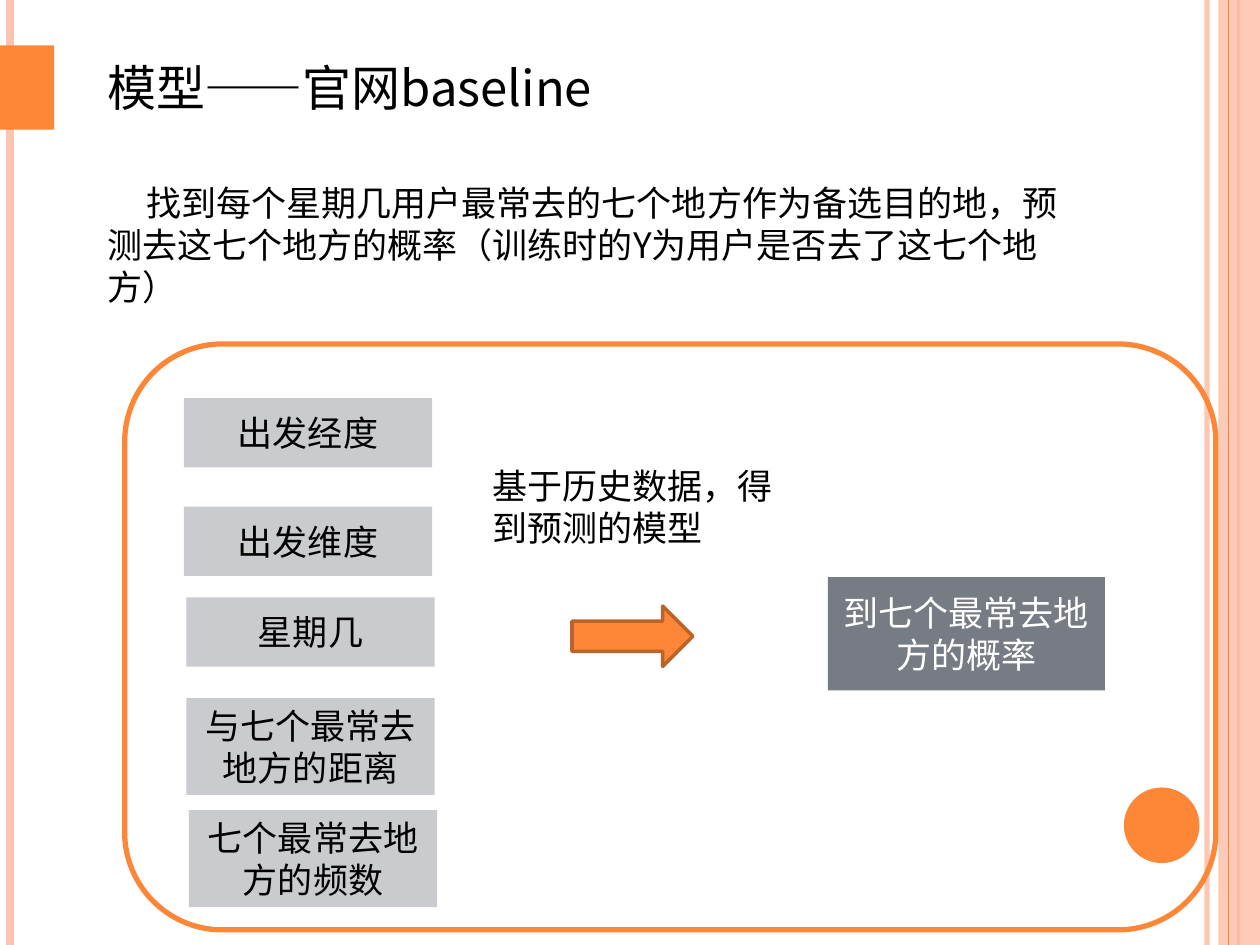
from lxml import etree
from pptx import Presentation
from pptx.dml.color import RGBColor
from pptx.enum import shapes, text
from pptx.oxml import ns
from pptx.util import Inches, Pt

COLORS = {
    "accent": "FE8637",
    "accent_dark": "BC6329",
    "stripe": "FEC3AE",
    "input": "C9CBCE",
    "output": "777C84",
    "black": "000000",
    "white": "FFFFFF",
}
FONT = "Noto Sans CJK SC"
SHAPE = shapes.MSO_SHAPE


def rgb(name):
    return RGBColor.from_string(COLORS[name])


def set_alpha(parent, percent):
    """Make the first colour found under an XML element translucent."""
    color = next(parent.iter(ns.qn("a:srgbClr")))
    etree.SubElement(color, ns.qn("a:alpha"), val=str(percent * 1000))


def add_shape(slide, kind, box, fill=None, line=None, width=1):
    shape = slide.shapes.add_shape(kind, *map(Inches, box))
    shape.shadow.inherit = False
    if fill:
        shape.fill.solid()
        shape.fill.fore_color.rgb = rgb(fill)
    else:
        shape.fill.background()
    if line:
        shape.line.color.rgb = rgb(line)
        shape.line.width = Pt(width)
    else:
        shape.line.fill.background()
    return shape


def write(shape, wording, size=20, color="black", centred=False):
    frame = shape.text_frame
    frame.text = wording
    anchor = text.MSO_ANCHOR.MIDDLE if centred else text.MSO_ANCHOR.TOP
    paragraph = frame.paragraphs[0]
    font = paragraph.runs[0].font
    formats = [
        (frame, {"word_wrap": True, "vertical_anchor": anchor,
                 "auto_size": text.MSO_AUTO_SIZE.NONE}),
        (paragraph, {"alignment": text.PP_ALIGN.CENTER if centred else text.PP_ALIGN.LEFT,
                     "line_spacing": Pt(size * 1.2), "space_before": Pt(0)}),
        (font, {"name": FONT, "size": Pt(size)}),
    ]
    for target, values in formats:
        for name, value in values.items():
            setattr(target, name, value)
    font.color.rgb = rgb(color)
    properties = paragraph.runs[0]._r.get_or_add_rPr()
    etree.SubElement(properties, ns.qn("a:ea"), typeface=FONT)
    return paragraph


def place(shape, box):
    for name, value in zip(("left", "top", "width", "height"), box):
        setattr(shape, name, Inches(value))


def add_stripe(slide, x, height, color, width, alpha=100):
    line = slide.shapes.add_connector(
        shapes.MSO_CONNECTOR.STRAIGHT, Inches(x), 0, Inches(x), Inches(height))
    line.line.color.rgb = rgb(color)
    line.line.width = Pt(width)
    properties = line._element.spPr
    if alpha < 100:
        set_alpha(properties, alpha)
    etree.SubElement(properties, ns.qn("a:effectLst"))


def add_decoration(slide, width, height):
    add_stripe(slide, width - 0.42, height, "stripe", 3, 93)
    add_stripe(slide, 0.08, height, "stripe", 4.5)
    add_stripe(slide, width - 0.17, height, "accent", 1.5)
    band = add_shape(slide, SHAPE.RECTANGLE, (width - 0.33, 0, 0.33, height), "stripe")
    set_alpha(band._element.spPr, 87)
    add_stripe(slide, width - 0.25, height, "accent", 0.75)
    add_shape(slide, SHAPE.OVAL, (width - 1.08, height - 1.25, 0.6, 0.6), "accent")
    add_shape(slide, SHAPE.RECTANGLE, (0, 0.36, 0.43, 0.67), "accent")


def add_heading(slide, left, top):
    title, body = slide.placeholders
    place(title, (left, top, 6.61, 0.57))
    write(title, "模型——官网baseline", 28)
    place(body, (left, top + 0.98, 7.8, 1.11))
    paragraph = write(
        body,
        "找到每个星期几用户最常去的七个地方作为备选目的地，"
        "预测去这七个地方的概率（训练时的Y为用户是否去了这七个地方）")
    properties = paragraph._p.get_or_add_pPr()
    properties.set("marL", "0")
    properties.set("indent", str(Inches(0.31)))
    etree.SubElement(properties, ns.qn("a:buNone"))


def add_model(slide, left, top, width, height):
    """Draw the framed flow from the input features to the predicted probability."""
    inputs = [
        ("出发经度", 0.47, 0.43, 0.55),
        ("出发维度", 0.47, 1.29, 0.55),
        ("星期几", 0.49, 2.01, 0.55),
        ("与七个最常去地方的距离", 0.49, 2.81, 0.77),
        ("七个最常去地方的频数", 0.51, 3.7, 0.77),
    ]
    for wording, x, y, box_height in inputs:
        box = add_shape(slide, SHAPE.RECTANGLE,
                        (left + x, top + y, 1.97, box_height), "input")
        write(box, wording, centred=True)
    add_shape(slide, SHAPE.RIGHT_ARROW, (left + 3.55, top + 2.08, 0.96, 0.48),
              "accent", "accent_dark", 2)
    output = add_shape(slide, SHAPE.RECTANGLE,
                       (left + 5.58, top + 1.85, 2.2, 0.9), "output")
    write(output, "到七个最常去地方的概率", color="white", centred=True)
    add_shape(slide, SHAPE.ROUNDED_RECTANGLE, (left, top, width, height),
              line="accent", width=3)
    caption = slide.shapes.add_textbox(
        *map(Inches, (left + 2.82, top + 0.91, 2.53, 0.77)))
    write(caption, "基于历史数据，得到预测的模型")


def main():
    presentation = Presentation()
    presentation.slide_width = Inches(10)
    presentation.slide_height = Inches(7.5)
    slide = presentation.slides.add_slide(presentation.slide_layouts[1])
    add_decoration(slide, 10, 7.5)
    add_heading(slide, 0.75, 0.41)
    add_model(slide, 0.99, 2.73, 8.66, 4.65)
    presentation.save("out.pptx")


if __name__ == "__main__":
    main()
